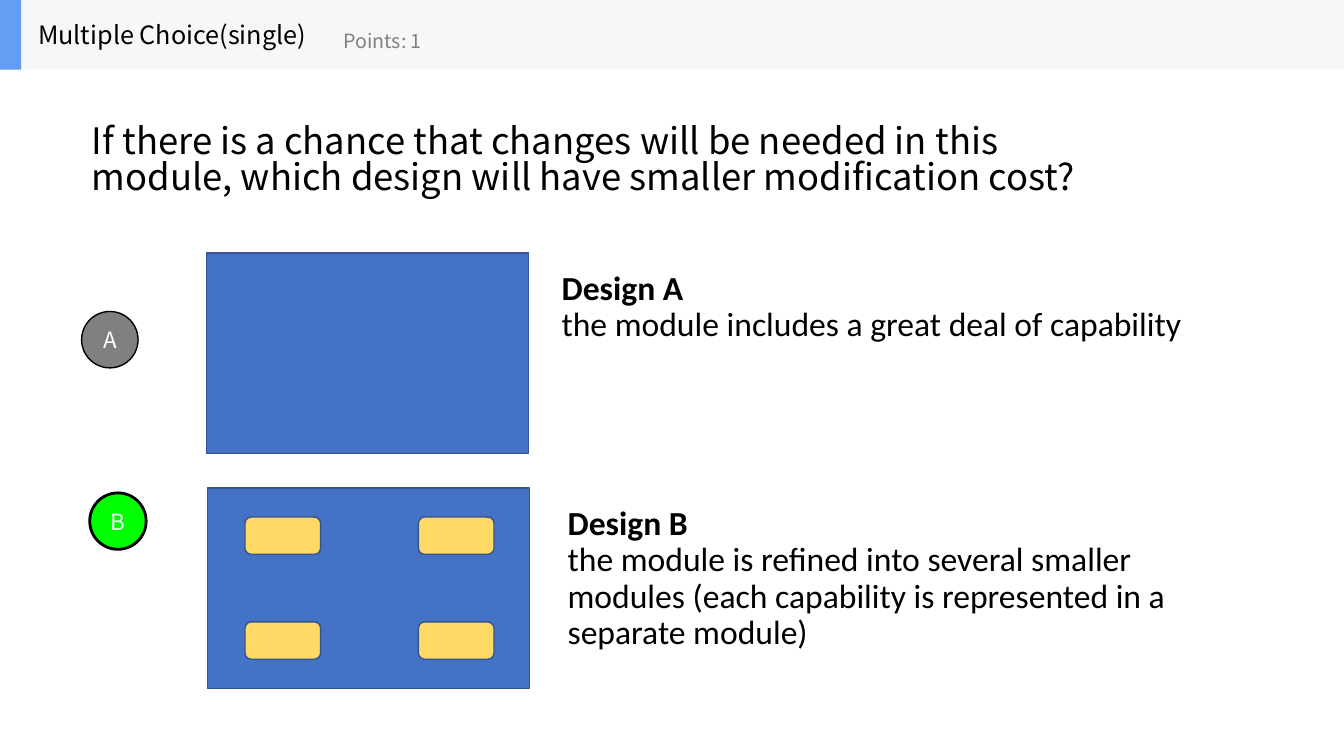
from itertools import product

from lxml.etree import SubElement
from pptx import Presentation
from pptx.dml.color import RGBColor
from pptx.enum.shapes import MSO_SHAPE
from pptx.enum.text import MSO_ANCHOR, MSO_AUTO_SIZE, PP_ALIGN
from pptx.oxml.ns import qn
from pptx.util import Inches, Pt

QUIZ_FONT = "Noto Sans CJK SC"
MODULE_LINE = "325491"


def color(hex_string):
    """Turn a hex string into a colour."""
    return RGBColor.from_string(hex_string)


def place(shape, box):
    """Move a shape to a box of left, top, width and height in inches."""
    shape.left, shape.top, shape.width, shape.height = map(Inches, box)


def add_run(paragraph, text, size, font=QUIZ_FONT, ink="000000", bold=False):
    """Add one formatted run."""
    run = paragraph.add_run()
    run.text = text
    run.font.name = font
    run.font.size = Pt(size)
    run.font.bold = bold
    run.font.color.rgb = color(ink)


def prepare_frame(shape, anchor):
    """Wrap the text at a fixed size and return its frame."""
    frame = shape.text_frame
    frame.word_wrap = True
    frame.auto_size = MSO_AUTO_SIZE.NONE
    frame.vertical_anchor = anchor
    return frame


def add_shape(slide, kind, box, fill, line=None, line_width=1):
    """Add a flat shape with an optional outline."""
    shape = slide.shapes.add_shape(kind, *map(Inches, box))
    shape.shadow.inherit = False
    shape.fill.solid()
    shape.fill.fore_color.rgb = color(fill)
    if line:
        shape.line.color.rgb = color(line)
        shape.line.width = Pt(line_width)
    else:
        shape.line.fill.background()
    return shape


def add_label(slide, box, text, size, ink):
    """Add a one-line label centred vertically in its box."""
    label = slide.shapes.add_textbox(*map(Inches, box))
    frame = prepare_frame(label, MSO_ANCHOR.MIDDLE)
    add_run(frame.paragraphs[0], text, size, ink=ink)


def add_header(slide, box):
    """Draw the question type bar with its accent and labels."""
    left, top, width, height = box
    add_shape(slide, MSO_SHAPE.RECTANGLE, box, "F6F7F8")
    add_shape(slide, MSO_SHAPE.RECTANGLE, (left, top, 0.21, height), "639EF4")
    add_label(slide, (left + 0.28, top, 2.9, height), "Multiple Choice(single)", 18, "000000")
    add_label(slide, (left + 3.31, top + 0.12, 2.5, 0.56), "Points: 1", 14, "808080")


def fill_question(title, box):
    """Write the question in the title placeholder."""
    place(title, box)
    paragraph = prepare_frame(title, MSO_ANCHOR.MIDDLE).paragraphs[0]
    paragraph.alignment = PP_ALIGN.LEFT
    paragraph.line_spacing = 0.82
    add_run(paragraph, "If there is a chance that changes will be needed in this module, "
            "which design will have smaller modification cost?", 26)


def add_option(slide, box, letter, fill, line_width):
    """Draw a round answer button."""
    button = add_shape(slide, MSO_SHAPE.OVAL, box, fill, "000000", line_width)
    frame = button.text_frame
    frame.word_wrap = False
    frame.margin_left = frame.margin_right = 0
    frame.vertical_anchor = MSO_ANCHOR.MIDDLE
    paragraph = frame.paragraphs[0]
    paragraph.alignment = PP_ALIGN.CENTER
    add_run(paragraph, letter, 16, ink="FFFFFF")


def add_module(slide, box, refined=False):
    """Draw a module, with four smaller modules inside if it is refined."""
    left, top, _, _ = box
    add_shape(slide, MSO_SHAPE.RECTANGLE, box, "4472C4", MODULE_LINE)
    if refined:
        for column, row in product(range(2), repeat=2):
            part = (left + 0.37 + 1.72 * column, top + 0.29 + 1.04 * row, 0.75, 0.37)
            add_shape(slide, MSO_SHAPE.ROUNDED_RECTANGLE, part, "FFD966", MODULE_LINE)


def fill_description(body, box, anchor, heading, detail):
    """Write a bold heading and its detail in a body placeholder."""
    place(body, box)
    frame = prepare_frame(body, anchor)
    lines = (frame.paragraphs[0], heading, True), (frame.add_paragraph(), detail, False)
    for paragraph, text, bold in lines:
        paragraph.line_spacing = 0.9
        paragraph.space_before = Pt(0)
        add_run(paragraph, text, 24, "Calibri", bold=bold)
        properties = paragraph._p.get_or_add_pPr()
        properties.set("marL", "0")
        properties.set("indent", "0")
        SubElement(properties, qn("a:buNone"))


def main():
    """Build and save the quiz slide."""
    presentation = Presentation()
    presentation.slide_width = Inches(13.33)
    presentation.slide_height = Inches(7.5)
    slide = presentation.slides.add_slide(presentation.slide_layouts[3])
    question, design_a, design_b = list(slide.placeholders)[:3]

    fill_question(question, (0.81, 0.88, 10.67, 1.45))
    add_option(slide, (0.81, 3.09, 0.56, 0.56), "A", "808080", 1)
    add_option(slide, (0.89, 4.89, 0.56, 0.56), "B", "00FF00", 2)
    add_module(slide, (2.06, 4.84, 3.19, 1.99), refined=True)
    add_module(slide, (2.05, 2.51, 3.19, 1.99))
    add_header(slide, (0, 0, 13.33, 0.69))
    fill_description(design_a, (5.47, 2.64, 6.63, 1.45), MSO_ANCHOR.TOP, "Design A",
                     "the module includes a great deal of capability")
    fill_description(design_b, (5.53, 4.9, 6.63, 1.69), MSO_ANCHOR.MIDDLE, "Design B",
                     "the module is refined into several smaller modules "
                     "(each capability is represented in a separate module)")
    presentation.save("out.pptx")


if __name__ == "__main__":
    main()
